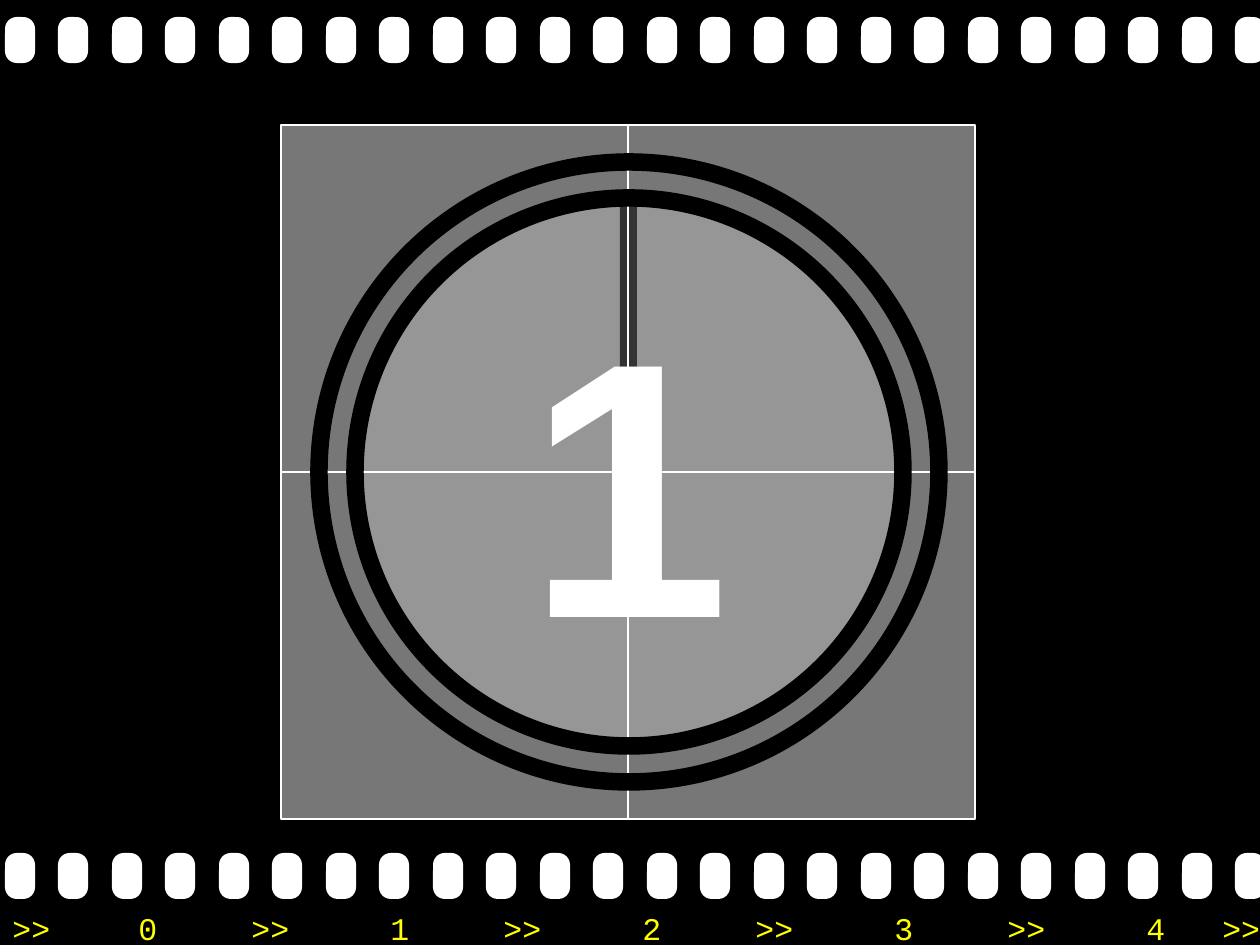
from lxml import etree
from pptx import Presentation
from pptx.dml.color import RGBColor
from pptx.enum.shapes import MSO_CONNECTOR, MSO_SHAPE as Shape
from pptx.enum.text import MSO_ANCHOR, PP_ALIGN
from pptx.oxml.ns import qn
from pptx.util import Emu, Pt

PX_PER_INCH = 126
HOLES = 24
WHITE, BLACK = "FFFFFF", "000000"


def px(n):
    return Emu(round(n * 914400 / PX_PER_INCH))


def color(value):
    return RGBColor.from_string(value)


def add_shape(shapes, kind, box, fill=None, line=None, width=0.75):
    sp = shapes.add_shape(kind, *map(px, box))
    sp.shadow.inherit = False
    if fill:
        sp.fill.solid()
        sp.fill.fore_color.rgb = color(fill)
    else:
        sp.fill.background()
    if line:
        sp.line.color.rgb = color(line)
        sp.line.width = Pt(width)
    else:
        sp.line.fill.background()
    return sp


def add_perforations(s, top):
    holes = s.shapes.add_group_shape().shapes
    for i in range(HOLES):
        left = 5 + round(i * 1230 / (HOLES - 1))
        hole = add_shape(holes, Shape.ROUNDED_RECTANGLE, (left, top, 30, 46), WHITE)
        hole.adjustments[0] = 0.39


def add_crosshair(s, frame, start, end):
    """Join two opposite sides of the frame, given as connection sites."""
    line = s.shapes.add_connector(MSO_CONNECTOR.STRAIGHT, 0, 0, 0, 0)
    line.begin_connect(frame, start)
    line.end_connect(frame, end)
    line.line.color.rgb = color(WHITE)
    line.line.width = Pt(0.75)
    etree.SubElement(line._element.spPr, qn("a:effectLst"))


def set_font(p, name, size, rgb, bold=False):
    p.font.name = name
    p.font.size = Pt(size)
    p.font.color.rgb = color(rgb)
    p.font.bold = bold


def add_frame_numbers(s):
    """Number frames at odd inches, with an arrow mark before each one."""
    tf = s.shapes.add_textbox(*map(px, (0, 903, 1285, 50))).text_frame
    tf.word_wrap = False
    p = tf.paragraphs[0]
    marks, stops = [">>"], []
    for i in range(5):
        marks += [str(i), ">>"]
        number_stop = (2 * i + 1) * PX_PER_INCH
        stops += [number_stop, number_stop + 113]
    stops[-1] = 1210
    p.text = "\t".join(marks)
    set_font(p, "Courier New", 18, "FFFF00")
    tabs = etree.Element(qn("a:tabLst"))
    for stop in stops:
        etree.SubElement(tabs, qn("a:tab"), pos=str(px(stop)), algn="l")
    p._p.get_or_add_pPr().insert(0, tabs)


def add_countdown(s, number):
    frame = add_shape(s.shapes, Shape.RECTANGLE, (281, 125, 694, 694), "777777", WHITE)
    dial = s.shapes.add_group_shape().shapes
    add_shape(dial, Shape.OVAL, (357, 198, 544, 548), "969696", WHITE)
    add_shape(dial, Shape.RECTANGLE, (620, 199, 17, 272), "333333")
    add_crosshair(s, frame, 0, 2)
    add_crosshair(s, frame, 3, 1)

    inner = add_shape(s.shapes, Shape.OVAL, (355, 198, 548, 548), line=BLACK, width=10)
    tf = inner.text_frame
    tf.word_wrap = False
    tf.vertical_anchor = MSO_ANCHOR.MIDDLE
    p = tf.paragraphs[0]
    p.text = number
    p.alignment = PP_ALIGN.CENTER
    set_font(p, "Arial", 208, WHITE, bold=True)
    add_shape(s.shapes, Shape.OVAL, (319, 162, 620, 620), line=BLACK, width=10)


def main():
    prs = Presentation()
    prs.slide_width, prs.slide_height = px(1260), px(945)
    s = prs.slides.add_slide(prs.slide_layouts[6])
    s.background.fill.solid()
    s.background.fill.fore_color.rgb = color(BLACK)
    for top in (853, 17):
        add_perforations(s, top)
    add_frame_numbers(s)
    add_countdown(s, "1")
    prs.save("out.pptx")


if __name__ == "__main__":
    main()
